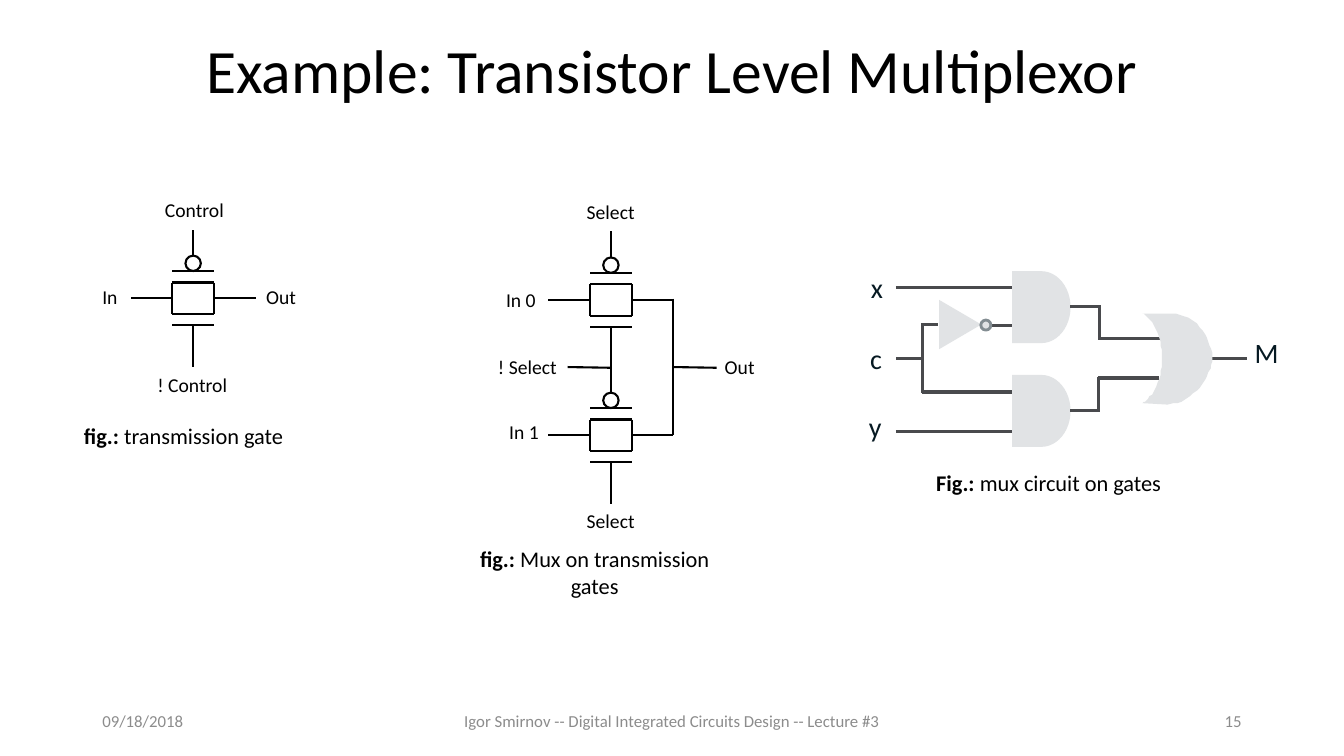
from pptx import Presentation
from pptx import util as u
from pptx.dml.color import RGBColor
from pptx.enum import shapes, text
from pptx.oxml.ns import qn
from lxml import etree

Pt = u.Pt
AL = text.PP_ALIGN
MID = text.MSO_ANCHOR.MIDDLE
SHAPE = shapes.MSO_SHAPE


def rgb(value):
    """Turn a hex string into a colour."""
    return RGBColor.from_string(value)


def bezier(p0, p1, p2, p3, steps=16):
    """Return points along a cubic curve, leaving out its start."""
    ts = [i / steps for i in range(1, steps + 1)]
    return [tuple((1 - t) ** 3 * a + 3 * (1 - t) ** 2 * t * b
                  + 3 * (1 - t) * t ** 2 * c + t ** 3 * d
                  for a, b, c, d in zip(p0, p1, p2, p3)) for t in ts]


class Sketch:
    """Hold the style and the current slide."""

    font = "Calibri"
    black, gray, ink = "000000", "8C8C8C", "061922"
    wire, gate, ring, white = "494A4D", "E1E3E5", "838D92", "FFFFFF"

    def __init__(self, prs):
        """Add a title-only slide."""
        self.s = prs.slides.add_slide(prs.slide_layouts[5])
        self.shapes = self.s.shapes

    def group(self):
        """Send the following elements to a new group."""
        self.shapes = self.s.shapes.add_group_shape().shapes

    def add_runs(self, tf, runs, size, color, align):
        """Add (text, bold) runs to the first paragraph."""
        p = tf.paragraphs[0]
        p.alignment = align
        for words, bold in runs:
            r = p.add_run()
            r.text = words
            r.font.name, r.font.size, r.font.bold = self.font, Pt(size), bold
            r.font.color.rgb = rgb(color)
        return p

    def title(self, words, x, y, w, h):
        """Move and fill the title placeholder."""
        sp = self.s.shapes.title
        sp.left, sp.top, sp.width, sp.height = Pt(x), Pt(y), Pt(w), Pt(h)
        tf = sp.text_frame
        tf.auto_size, tf.vertical_anchor = text.MSO_AUTO_SIZE.NONE, MID
        p = self.add_runs(tf, [(words, False)], 44, self.black, AL.CENTER)
        p.line_spacing = 0.9

    def text(self, runs, x, y, w, h, size=14, color=black, align=AL.LEFT,
             wrap=False, anchor=text.MSO_ANCHOR.TOP):
        """Add a text box."""
        tf = self.shapes.add_textbox(Pt(x), Pt(y), Pt(w), Pt(h)).text_frame
        tf.word_wrap, tf.vertical_anchor = wrap, anchor
        self.add_runs(tf, runs, size, color, align)

    def label(self, words, x, y, w):
        """Add a pin name."""
        self.text([(words, False)], x, y, w, 24.2)

    def line(self, x1, y1, x2, y2, color=black, width=1.5):
        """Add a straight line."""
        cn = self.shapes.add_connector(shapes.MSO_CONNECTOR.STRAIGHT,
                                       Pt(x1), Pt(y1), Pt(x2), Pt(y2))
        cn.line.color.rgb, cn.line.width = rgb(color), Pt(width)
        etree.SubElement(cn._element.spPr, qn("a:effectLst"))

    def paint(self, sp, fill, line=None, width=1.5):
        """Set the fill and outline of a shape."""
        sp.shadow.inherit = False
        sp.fill.solid()
        sp.fill.fore_color.rgb = rgb(fill)
        if line:
            sp.line.color.rgb, sp.line.width = rgb(line), Pt(width)
        else:
            sp.line.fill.background()

    def shape(self, kind, x, y, w, h, fill, line=None, width=1.5, turn=0):
        """Add a preset shape."""
        sp = self.shapes.add_shape(kind, Pt(x), Pt(y), Pt(w), Pt(h))
        sp.rotation = turn
        self.paint(sp, fill, line, width)

    def outline(self, points, fill):
        """Add a closed free outline."""
        fb = self.shapes.build_freeform(*points[0], scale=Pt(1))
        fb.add_line_segments(points[1:], close=True)
        self.paint(fb.convert_to_shape(), fill)

    def transmission_gate(self, cx, cy):
        """Draw a transmission gate around its centre."""
        half, body, plate, lead, pin = 14.9, 11.2, 19.4, 49, 44.6
        for side in (-1, 1):
            x, y = cx + side * half, cy + side * body
            self.line(cx - half, y, cx + half, y)
            self.line(x, cy - body, x, cy + body)
            self.line(x, cy, cx + side * pin, cy)
            self.line(cx - half, cy + side * plate, cx + half, cy + side * plate)
            self.line(cx, cy + side * plate, cx, cy + side * lead)
        self.shape(SHAPE.OVAL, cx - 5.5, cy - plate - 11, 11, 11, self.white, self.black)


prs = Presentation()
prs.slide_width, prs.slide_height = Pt(960), Pt(540)
sk = Sketch(prs)
sk.title("Example: Transistor Level Multiplexor", 66, 0, 828, 104.4)
for words, x, w, align in (
        ("09/18/2018", 66, 216, AL.LEFT),
        ("Igor Smirnov -- Digital Integrated Circuits Design -- Lecture #3", 318, 324, AL.CENTER),
        ("15", 678, 216, AL.RIGHT)):
    sk.text([(words, False)], x, 500.5, w, 28.8, 12, sk.gray, align, True, MID)

sk.group()
sk.transmission_gate(138, 213)
for pin in (("! Control", 105.3, 263, 65), ("Control", 110.7, 138, 57),
            ("In", 66, 200.2, 25.4), ("Out", 183, 200.2, 36)):
    sk.label(*pin)
sk.text([("fig.:", True), (" transmission gate", False)],
        23.8, 298, 214.6, 26.6, 16, align=AL.CENTER, wrap=True)

sk.group()
for cy in (214.3, 310.9):
    sk.transmission_gate(436.4, cy)
for pin in (("Select", 412, 139.2, 49), ("In 0", 354.4, 202.3, 36),
            ("Out", 510.6, 250, 36), ("In 1", 356.6, 296.6, 36),
            ("Select", 412, 360.2, 49), ("! Select", 348.6, 250, 57)):
    sk.label(*pin)
sk.line(405.4, 262.2, 436.4, 262.7)
sk.line(480.5, 213.3, 480.5, 311)
sk.line(480.8, 262.2, 511.9, 262.7)
sk.text([("fig.:", True), (" Mux on transmission gates", False)],
        317.5, 386, 214.6, 46, 16, align=AL.CENTER, wrap=True)

sk.group()
for y in (193.7, 267.8):
    sk.shape(SHAPE.FLOWCHART_DELAY, 722.9, y, 41.8, 51.4, sk.gate)
for wire in ((640, 205.3, 723, 205.3), (700.6, 232.8, 723, 232.8),
             (785.4, 219, 764.6, 219), (658.8, 232, 670.3, 232),
             (658.8, 280, 723, 280), (785, 293.3, 764.6, 293.3),
             (640, 308.3, 723, 308.3), (658.8, 230.9, 658.8, 281),
             (658.8, 256.3, 640, 256.3), (785.6, 218, 785.6, 242.9),
             (785, 241.9, 829.4, 241.9), (784.6, 294, 784.6, 269.2),
             (784.2, 270, 828, 270), (890.6, 256.3, 864, 256.3)):
    sk.line(*wire, sk.wire, 2.25)
sk.shape(SHAPE.ISOSCELES_TRIANGLE, 668.2, 216.7, 35.3, 30.2, sk.gate, turn=90)
sk.shape(SHAPE.OVAL, 700.6, 228.6, 7.2, 7.2, sk.gate, sk.ring, 2)
for words, x, y in (("x", 614.9, 189.4), ("c", 614.2, 240.5), ("y", 613.6, 288.9)):
    sk.text([(words, False)], x, y, 23, 31.5, 20, sk.ink, AL.CENTER, anchor=MID)
sk.text([("M", False)], 889.2, 236.2, 31.7, 31.5, 20, sk.ink)
top, back, low, nose = (815.8, 223.9), (830.2, 256), (815.8, 288), (866.2, 256)
shoulder, hip = (835.9, 223.9), (834.5, 288.7)
sk.outline([shoulder, top,
            *bezier(top, (820.8, 225.4), (830.2, 238.3), back),
            *bezier(back, (830.2, 273.6), (820.8, 285.8), low), hip,
            *bezier(hip, (852.5, 288.7), (865.4, 267.1), nose),
            *bezier(nose, (866.2, 245.5), (856.8, 223.9), shoulder)], sk.gate)
sk.text([("Fig.: ", True), ("mux circuit on gates", False)], 661.7, 331.9, 177, 26.6, 16)

prs.save("out.pptx")
